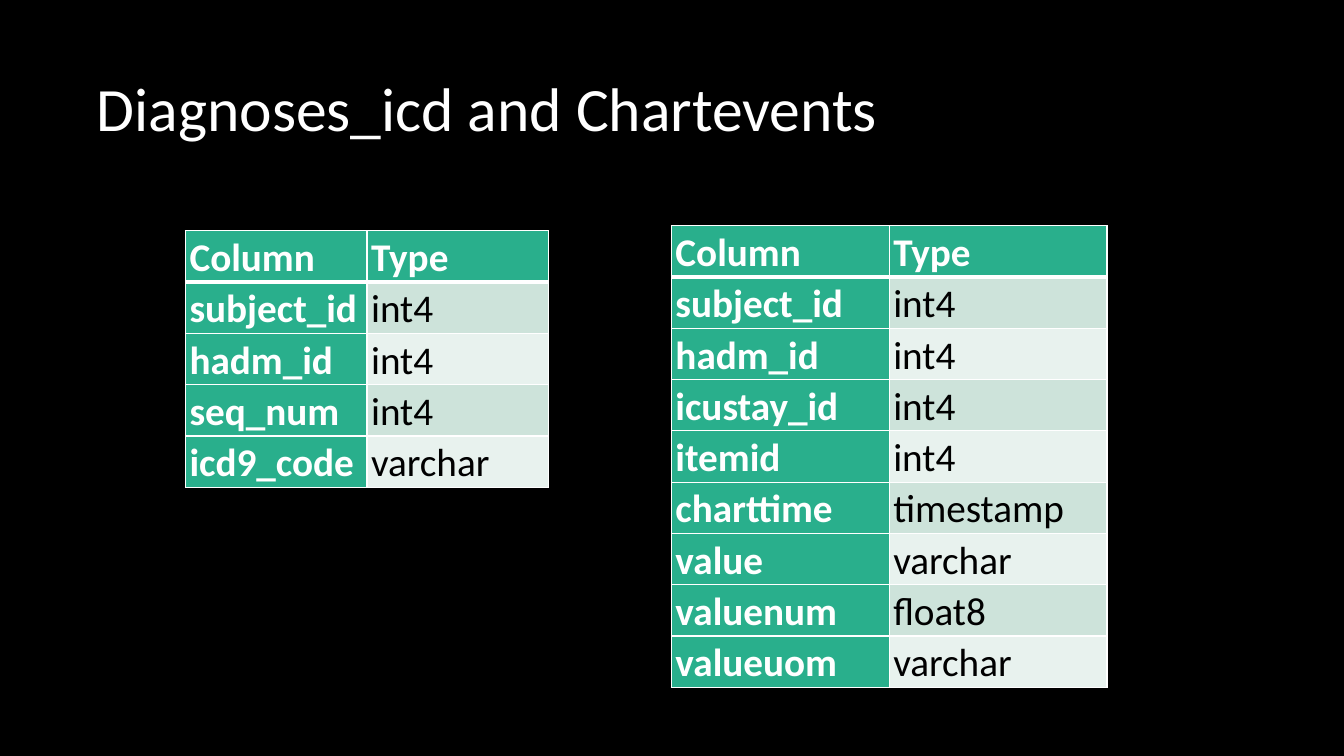
from dataclasses import dataclass

from lxml.etree import SubElement
from pptx import Presentation
from pptx.dml.color import RGBColor
from pptx.enum.text import MSO_ANCHOR, PP_ALIGN
from pptx.oxml.ns import qn
from pptx.util import Inches, Pt


@dataclass(frozen=True)
class Theme:
    """Hold the colours, font and sizes of the slide."""
    font: str = "Calibri"
    black: str = "000000"
    white: str = "FFFFFF"
    green: str = "29AF8C"
    bands: tuple = ("CDE3DA", "E8F2EE")
    title_size: int = 44
    cell_size: int = 28
    thin_line: int = 1
    header_line: int = 3


THEME = Theme()

DIAGNOSES_COLUMNS = [
    ("Column", "Type"),
    ("subject_id", "int4"),
    ("hadm_id", "int4"),
    ("seq_num", "int4"),
    ("icd9_code", "varchar"),
]

CHARTEVENTS_COLUMNS = [
    ("Column", "Type"),
    ("subject_id", "int4"),
    ("hadm_id", "int4"),
    ("icustay_id", "int4"),
    ("itemid", "int4"),
    ("charttime", "timestamp"),
    ("value", "varchar"),
    ("valuenum", "float8"),
    ("valueuom", "varchar"),
]


def write_text(frame, text, *, size, color, bold=False, align=PP_ALIGN.LEFT, spacing=1.0):
    """Write one formatted paragraph into a text frame."""
    frame.word_wrap = True
    para = frame.paragraphs[0]
    para.alignment = align
    para.line_spacing = spacing
    span = para.add_run()
    span.text = text
    span.font.name = THEME.font
    span.font.size = Pt(size)
    span.font.bold = bold
    span.font.color.rgb = RGBColor.from_string(color)


def add_title(page, text):
    """Place and fill the title placeholder."""
    title = page.shapes.title
    title.left, title.top = Inches(0.86), Inches(0.38)
    title.width, title.height = Inches(11.5), Inches(1.45)
    title.text_frame.vertical_anchor = MSO_ANCHOR.MIDDLE
    write_text(title.text_frame, text, size=THEME.title_size, color=THEME.white, spacing=0.9)


def add_borders(cell, top, bottom):
    """Draw white borders on the four sides of a cell."""
    properties = cell._tc.get_or_add_tcPr()
    widths = {"lnL": THEME.thin_line, "lnR": THEME.thin_line, "lnT": top, "lnB": bottom}
    for side, width in widths.items():
        line = SubElement(properties, qn(f"a:{side}"), w=str(Pt(width)))
        fill = SubElement(line, qn("a:solidFill"))
        SubElement(fill, qn("a:srgbClr"), val=THEME.white)


def format_cell(cell, text, row, column):
    """Fill a cell according to its place in the table."""
    heading = row == 0 or column == 0
    cell.margin_left = cell.margin_right = Inches(0.04)
    cell.margin_top = cell.margin_bottom = Inches(0)
    cell.vertical_anchor = MSO_ANCHOR.MIDDLE
    add_borders(
        cell,
        top=THEME.header_line if row == 1 else THEME.thin_line,
        bottom=THEME.header_line if row == 0 else THEME.thin_line,
    )
    cell.fill.solid()
    color = THEME.green if heading else THEME.bands[(row - 1) % 2]
    cell.fill.fore_color.rgb = RGBColor.from_string(color)
    write_text(
        cell.text_frame,
        text,
        size=THEME.cell_size,
        color=THEME.white if heading else THEME.black,
        bold=heading,
        align=PP_ALIGN.JUSTIFY,
        spacing=1.07,
    )


def add_schema_table(page, entries, left, top, column_width):
    """Add a table of column names and their types."""
    row_height = 0.5
    table = page.shapes.add_table(
        len(entries), 2, Inches(left), Inches(top),
        Inches(2 * column_width), Inches(row_height * len(entries)),
    ).table
    for row, entry in enumerate(entries):
        for column, text in enumerate(entry):
            format_cell(table.cell(row, column), text, row, column)


def main():
    """Build and save the slide."""
    deck = Presentation()
    deck.slide_width, deck.slide_height = Inches(13.33), Inches(7.5)
    page = deck.slides.add_slide(deck.slide_layouts[5])
    page.background.fill.solid()
    page.background.fill.fore_color.rgb = RGBColor.from_string(THEME.black)
    add_title(page, "Diagnoses_icd and Chartevents")
    add_schema_table(page, DIAGNOSES_COLUMNS, left=1.84, top=2.29, column_width=1.8)
    add_schema_table(page, CHARTEVENTS_COLUMNS, left=6.66, top=2.24, column_width=2.16)
    deck.save("out.pptx")


if __name__ == "__main__":
    main()
